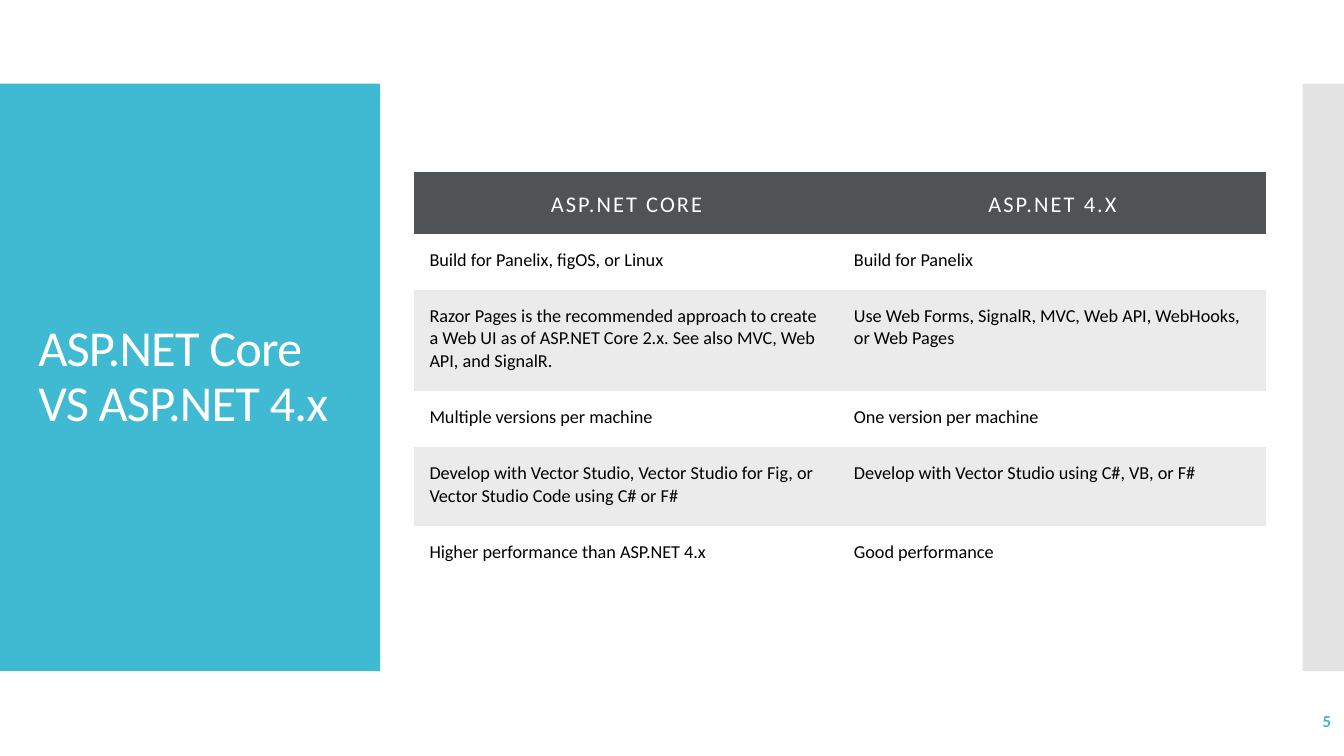
from pptx import Presentation
from pptx.dml.color import RGBColor
from pptx.enum import shapes, text
from pptx.util import Inches, Pt

TEAL = RGBColor(0x40, 0xBA, 0xD2)
PALE_GREY = RGBColor(0xE3, 0xE3, 0xE3)
HEADER_GREY = RGBColor(0x50, 0x53, 0x56)
BAND_GREY = RGBColor(0xEB, 0xEB, 0xEB)
WHITE = RGBColor(0xFF, 0xFF, 0xFF)
BLACK = RGBColor(0, 0, 0)

NO_STYLE = "{2D5ABB26-0587-4C30-8999-92F81FD0307C}"
COLUMN_WIDTHS = (4.21, 4.24)
ROW_HEIGHTS = (0.61, 0.56, 1, 0.56, 0.78, 0.56)
ROWS = (
    ("ASP.NET CORE", "ASP.NET 4.X"),
    ("Build for Panelix, figOS, or Linux", "Build for Panelix"),
    ("Razor Pages is the recommended approach to create a Web UI as of "
     "ASP.NET Core 2.x. See also MVC, Web API, and SignalR.",
     "Use Web Forms, SignalR, MVC, Web API, WebHooks, or Web Pages"),
    ("Multiple versions per machine", "One version per machine"),
    ("Develop with Vector Studio, Vector Studio for Fig, "
     "or Vector Studio Code using C# or F#",
     "Develop with Vector Studio using C#, VB, or F#"),
    ("Higher performance than ASP.NET 4.x", "Good performance"),
)

TITLE = {"size": Pt(36), "color": WHITE, "spacing": -0.6}
HEADER = {"size": Pt(16), "color": WHITE, "spacing": 1.5}
BODY = {"size": Pt(13), "color": BLACK}
NUMBER = {"size": Pt(12), "color": TEAL, "bold": True}


def write(tf, words, style, align=text.PP_ALIGN.LEFT):
    """Put one styled run in a text frame; spacing is in points."""
    p = tf.paragraphs[0]
    p.alignment = align
    r = p.add_run()
    r.text = words
    r.font.name = "Calibri"
    for name, value in style.items():
        if name == "color":
            r.font.color.rgb = value
        elif name == "spacing":
            r.font._element.set("spc", str(round(value * 100)))
        else:
            setattr(r.font, name, value)
    return p


def place(sp, left, top, width, height):
    sp.left, sp.top = Inches(left), Inches(top)
    sp.width, sp.height = Inches(width), Inches(height)


def add_panel(slide, left, width, color):
    sp = slide.shapes.add_shape(
        shapes.MSO_SHAPE.RECTANGLE,
        Inches(left), Inches(0.83), Inches(width), Inches(5.83))
    sp.shadow.inherit = False
    sp.fill.solid()
    sp.fill.fore_color.rgb = color
    sp.line.fill.background()
    # Panels belong behind the title placeholder
    slide.shapes._spTree.insert(2, sp._element)


def set_title(slide, words):
    sp = slide.shapes.title
    place(sp, 0.28, 1.23, 3.22, 5.03)
    tf = sp.text_frame
    tf.word_wrap = True
    tf.auto_size = text.MSO_AUTO_SIZE.NONE
    tf.vertical_anchor = text.MSO_ANCHOR.MIDDLE
    write(tf, words, TITLE).line_spacing = 0.9


def add_slide_number(slide, number):
    sp = slide.shapes.add_textbox(
        Inches(11.63), Inches(6.95), Inches(1.67), Inches(0.4))
    tf = sp.text_frame
    tf.word_wrap = True
    tf.vertical_anchor = text.MSO_ANCHOR.MIDDLE
    write(tf, number, NUMBER, text.PP_ALIGN.RIGHT)


def fill_cell(cell, words, row):
    for side in ("left", "top", "right", "bottom"):
        setattr(cell, f"margin_{side}", Inches(0.15))
    if row % 2:
        cell.fill.background()
    else:
        cell.fill.solid()
        cell.fill.fore_color.rgb = BAND_GREY if row else HEADER_GREY
    if row:
        write(cell.text_frame, words, BODY)
    else:
        cell.vertical_anchor = text.MSO_ANCHOR.BOTTOM
        write(cell.text_frame, words, HEADER, text.PP_ALIGN.CENTER)


def add_comparison(slide):
    frame = slide.shapes.add_table(
        len(ROWS), len(COLUMN_WIDTHS), Inches(4.11), Inches(1.71),
        Inches(sum(COLUMN_WIDTHS)), Inches(sum(ROW_HEIGHTS)))
    table = frame.table
    table.horz_banding = False
    table._tbl.tblPr[0].text = NO_STYLE
    for column, width in zip(table.columns, COLUMN_WIDTHS):
        column.width = Inches(width)
    for i, (height, entries) in enumerate(zip(ROW_HEIGHTS, ROWS)):
        table.rows[i].height = Inches(height)
        for j, words in enumerate(entries):
            fill_cell(table.cell(i, j), words, i)


def main():
    prs = Presentation()
    prs.slide_width, prs.slide_height = Inches(13.33), Inches(7.5)
    slide = prs.slides.add_slide(prs.slide_layouts[5])
    add_panel(slide, 0, 3.77, TEAL)
    add_panel(slide, 12.92, 0.41, PALE_GREY)
    set_title(slide, "ASP.NET Core VS ASP.NET 4.x")
    add_comparison(slide)
    add_slide_number(slide, "5")
    prs.save("out.pptx")


if __name__ == "__main__":
    main()
